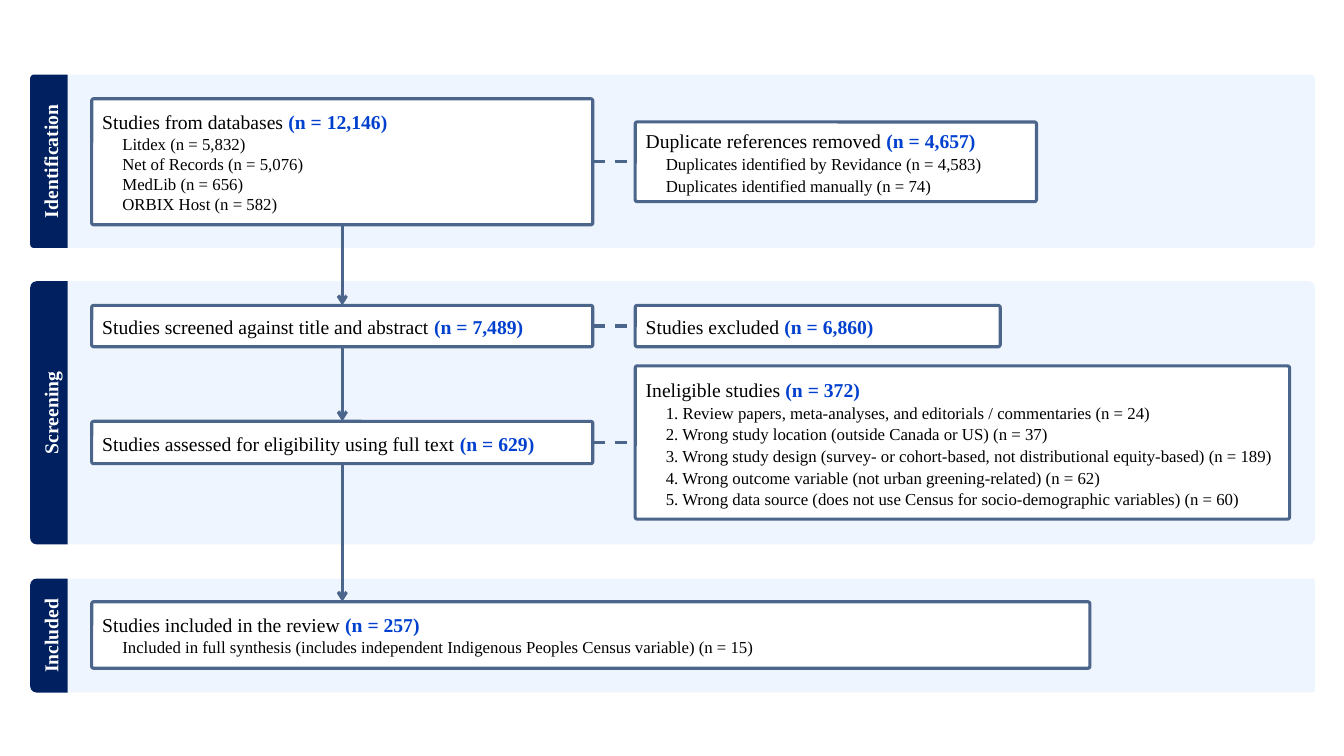
from dataclasses import dataclass

from lxml.etree import SubElement
from pptx import Presentation
from pptx.dml.color import RGBColor
from pptx.enum.dml import MSO_LINE_DASH_STYLE as Dash
from pptx.enum.shapes import MSO_CONNECTOR as Link
from pptx.enum.shapes import MSO_SHAPE as Kind
from pptx.enum.text import MSO_ANCHOR as Anchor
from pptx.enum.text import PP_ALIGN as Align
from pptx.oxml.ns import qn
from pptx.shapes.autoshape import Shape
from pptx.shapes.connector import Connector
from pptx.text.text import Font
from pptx.util import Inches, Pt

NAVY = RGBColor(0x00, 0x20, 0x60)
PALE = RGBColor(0xEF, 0xF5, 0xFE)
SLATE = RGBColor(0x4C, 0x65, 0x8A)
BLUE = RGBColor(0x00, 0x40, 0xCF)
BLACK = RGBColor(0x00, 0x00, 0x00)
WHITE = RGBColor(0xFF, 0xFF, 0xFF)
FACE = "Times New Roman"
TOP, LEFT, BOTTOM, RIGHT = range(4)

# Shared edges, in inches
TAB_X, TAB_W = 0.3, 0.37
BAND_X, BAND_W = 0.67, 12.37
MAIN_X, MAIN_W = 0.91, 4.97
SIDE_X = 6.3
RADIUS = 0.02


@dataclass
class Stage:
    name: str
    top: float
    height: float
    curve: float = 0.167


@dataclass
class Box:
    left: float
    top: float
    width: float
    height: float
    head: str
    count: str
    items: tuple[str, ...] = ()
    space: float = 1.07


STAGES = [
    Stage("Identification", 0.74, 1.72, 0.094),
    Stage("Screening", 2.79, 2.61),
    Stage("Included", 5.74, 1.13),
]

BOXES = {
    "found": Box(MAIN_X, 0.98, MAIN_W, 1.25, "Studies from databases ", "(n = 12,146)", (
        "Litdex (n = 5,832)",
        "Net of Records (n = 5,076)",
        "MedLib (n = 656)",
        "ORBIX Host (n = 582)",
    ), 1.0),
    "copies": Box(SIDE_X, 1.21, 3.98, 0.79, "Duplicate references removed ", "(n = 4,657)", (
        "Duplicates identified by Revidance (n = 4,583)",
        "Duplicates identified manually (n = 74)",
    )),
    "screened": Box(MAIN_X, 3.03, MAIN_W, 0.41,
                    "Studies screened against title and abstract ", "(n = 7,489)"),
    "dropped": Box(SIDE_X, 3.03, 3.62, 0.41, "Studies excluded ", "(n = 6,860)"),
    "assessed": Box(MAIN_X, 4.18, MAIN_W, 0.42,
                    "Studies assessed for eligibility using full text ", "(n = 629)"),
    "unfit": Box(SIDE_X, 3.63, 6.49, 1.52, "Ineligible studies ", "(n = 372)", (
        "1. Review papers, meta-analyses, and editorials / commentaries (n = 24)",
        "2. Wrong study location (outside Canada or US) (n = 37)",
        "3. Wrong study design (survey- or cohort-based, not distributional equity-based) (n = 189)",
        "4. Wrong outcome variable (not urban greening-related) (n = 62)",
        "5. Wrong data source (does not use Census for socio-demographic variables) (n = 60)",
    )),
    "final": Box(MAIN_X, 5.97, 9.9, 0.66, "Studies included in the review ", "(n = 257)", (
        "Included in full synthesis (includes independent Indigenous Peoples Census variable) (n = 15)",
    ), 1.0),
}

deck = Presentation()
deck.slide_width, deck.slide_height = Inches(13.33), Inches(7.5)
shapes = deck.slides.add_slide(deck.slide_layouts[6]).shapes


def style(font: Font, size: int, color: RGBColor, bold: bool = False) -> None:
    font.name, font.size, font.bold = FACE, Pt(size), bold
    font.color.rgb = color


def add_form(kind: Kind, left: float, top: float, width: float, height: float,
             fill: RGBColor) -> Shape:
    form = shapes.add_shape(kind, Inches(left), Inches(top), Inches(width), Inches(height))
    form.shadow.inherit = False
    form.fill.solid()
    form.fill.fore_color.rgb = fill
    form.line.fill.background()
    return form


def add_turned(left: float, top: float, width: float, height: float,
               turn: int, fill: RGBColor, curve: float) -> Shape:
    """Place a quarter-turned shape by the area it covers once turned."""
    shift = (width - height) / 2
    form = add_form(Kind.ROUND_2_SAME_RECTANGLE, left + shift, top - shift,
                    height, width, fill)
    form.rotation = turn
    form.adjustments[0] = curve
    return form


def add_stage(stage: Stage) -> None:
    add_turned(BAND_X, stage.top, BAND_W, stage.height, 90, PALE, 0.021)
    tab = add_turned(TAB_X, stage.top, TAB_W, stage.height, 270, NAVY, stage.curve)
    frame = tab.text_frame
    frame.text = stage.name
    frame.vertical_anchor = Anchor.MIDDLE
    para = frame.paragraphs[0]
    para.alignment, para.line_spacing, para.space_after = Align.CENTER, 1.07, Pt(8)
    style(para.runs[0].font, 14, WHITE, True)


def add_box(box: Box) -> Shape:
    form = add_form(Kind.ROUNDED_RECTANGLE, box.left, box.top, box.width, box.height, WHITE)
    form.adjustments[0] = RADIUS / box.height
    form.line.color.rgb, form.line.width = SLATE, Pt(2.25)
    frame = form.text_frame
    frame.text = "\n".join((box.head, *box.items))
    frame.vertical_anchor = Anchor.MIDDLE
    for para in frame.paragraphs:
        para.alignment, para.line_spacing = Align.LEFT, box.space
    first, *rest = frame.paragraphs
    style(first.runs[0].font, 14, BLACK)
    count = first.add_run()
    count.text = box.count
    style(count.font, 14, BLUE, True)
    if not rest:
        first.space_after = Pt(8)
    for para in rest:
        para._p.get_or_add_pPr().set("marL", str(Inches(0.2)))
        style(para.runs[0].font, 12, BLACK)
    return form


def add_link(start: Shape, site: int, x: float, y: float) -> Connector:
    link = shapes.add_connector(Link.STRAIGHT, 0, 0, Inches(x), Inches(y))
    link.begin_connect(start, site)
    link.line.color.rgb, link.line.width = SLATE, Pt(2.25)
    SubElement(link._element.spPr, qn("a:effectLst"))
    return link


def add_arrow(start: Shape, goal: Box) -> Connector:
    link = add_link(start, BOTTOM, MAIN_X + MAIN_W / 2, goal.top)
    SubElement(link.line._get_or_add_ln(), qn("a:tailEnd"), type="arrow")
    return link


# Stage bands with their tabs
for stage in STAGES:
    add_stage(stage)

# Boxes
forms = {name: add_box(box) for name, box in BOXES.items()}

# Arrows down the main column; the last lands left of the wide box's middle
for start, goal in (("found", "screened"), ("screened", "assessed"), ("assessed", "final")):
    arrow = add_arrow(forms[start], BOXES[goal])
    if goal != "final":
        arrow.end_connect(forms[goal], TOP)

# Dashed links to the removed studies
for start, goal in (("found", "copies"), ("screened", "dropped"), ("assessed", "unfit")):
    dashed = add_link(forms[start], RIGHT, SIDE_X, BOXES[goal].top)
    dashed.end_connect(forms[goal], LEFT)
    dashed.line.dash_style = Dash.DASH

deck.save("out.pptx")
